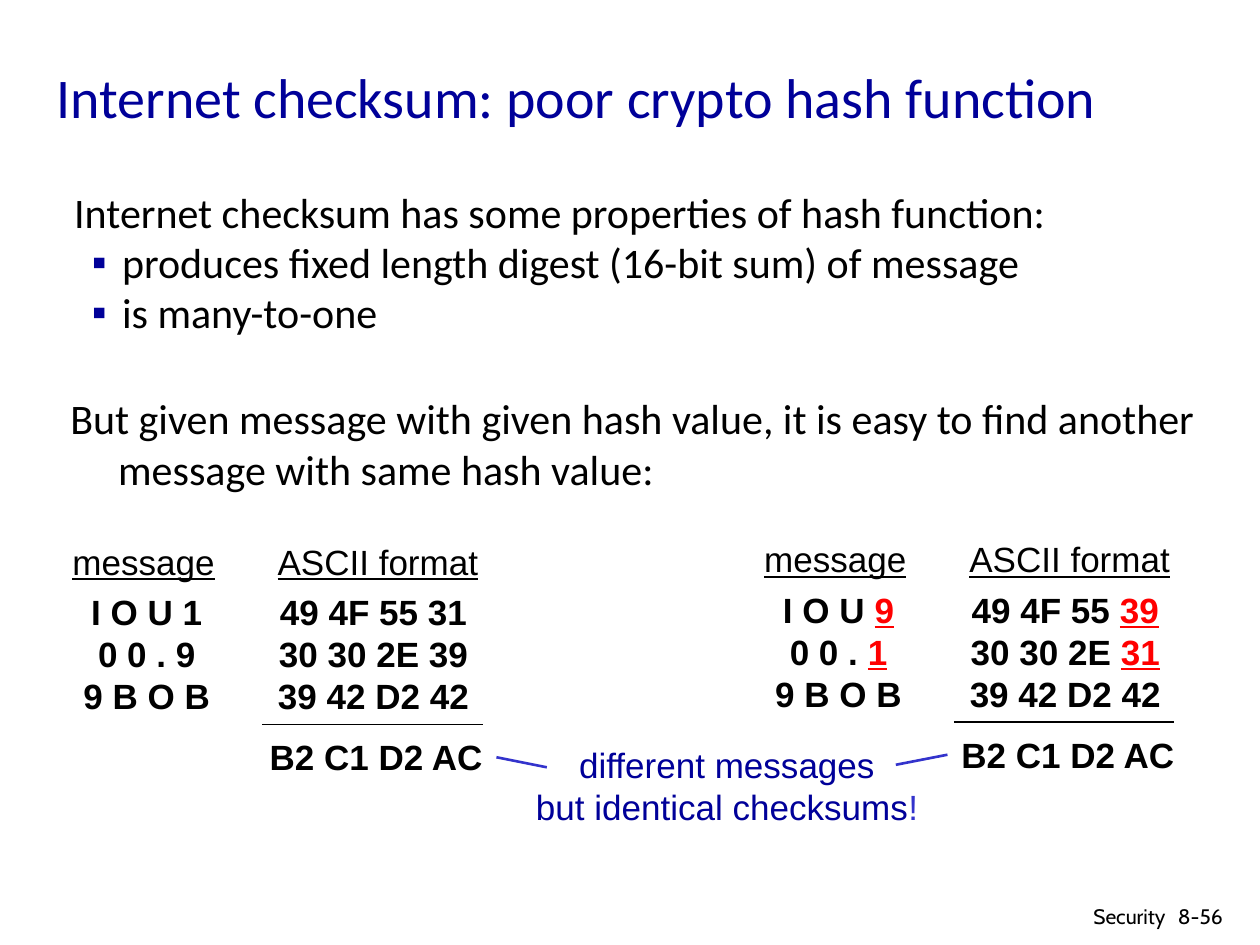
import pptx
import pptx.dml.color
import pptx.enum.shapes
import pptx.enum.text
import pptx.oxml.xmlchemy
import pptx.util

Inches = pptx.util.Inches
Pt = pptx.util.Pt
RGBColor = pptx.dml.color.RGBColor
Align = pptx.enum.text.PP_ALIGN
Anchor = pptx.enum.text.MSO_ANCHOR
AutoSize = pptx.enum.text.MSO_AUTO_SIZE
OxmlElement = pptx.oxml.xmlchemy.OxmlElement

NAVY = RGBColor(0x00, 0x00, 0x99)
BLUE = RGBColor(0x33, 0x33, 0xCC)
RED = RGBColor(0xFF, 0x00, 0x00)
BLACK = RGBColor(0x00, 0x00, 0x00)

TITLE = {"name": "Calibri", "size": Pt(32), "color": NAVY}
BODY = {"name": "Calibri", "size": Pt(24), "color": BLACK}
HEADING = {"name": "Arial", "size": Pt(20), "color": BLACK, "underline": True}
CODE = {"name": "Arial", "size": Pt(20), "color": BLACK, "bold": True}
CHANGED = {**CODE, "color": RED, "underline": True}
NOTE = {"name": "Arial", "size": Pt(20), "color": NAVY}
EXCLAMATION = {**NOTE, "color": BLUE}
FOOTER = {"name": "Cabin", "size": Pt(12), "color": BLACK}

presentation = pptx.Presentation()
presentation.slide_width = Inches(10)
presentation.slide_height = Inches(7.5)
slide = presentation.slides.add_slide(presentation.slide_layouts[6])


def add_text(left, top, width, height, lines, style, accent=None, align=Align.LEFT, wrap=True):
    shape = slide.shapes.add_textbox(Inches(left), Inches(top), Inches(width), Inches(height))
    frame = shape.text_frame
    frame.word_wrap = wrap
    frame.auto_size = AutoSize.NONE if wrap else AutoSize.SHAPE_TO_FIT_TEXT
    for index, line in enumerate(lines):
        paragraph = frame.paragraphs[0] if index == 0 else frame.add_paragraph()
        paragraph.alignment = align
        parts = (line,) if isinstance(line, str) else line
        for text, formats in zip(parts, (style, accent)):
            run = paragraph.add_run()
            run.text = text
            for key, value in formats.items():
                if key == "color":
                    run.font.color.rgb = value
                else:
                    setattr(run.font, key, value)
    return shape


def add_line(start, end, color, width):
    points = [Inches(value) for value in (*start, *end)]
    connector = slide.shapes.add_connector(pptx.enum.shapes.MSO_CONNECTOR.STRAIGHT, *points)
    connector.line.color.rgb = color
    connector.line.width = Pt(width)
    connector._element.spPr.append(OxmlElement("a:effectLst"))
    return connector


title = add_text(0.35, 0.3, 8.88, 0.92, ["Internet checksum: poor crypto hash function"], TITLE)
title.text_frame.vertical_anchor = Anchor.MIDDLE

properties_text = [
    "Internet checksum has some properties of hash function:",
    "produces fixed length digest (16-bit sum) of message",
    "is many-to-one",
]
body = add_text(0.49, 1.49, 9.21, 2.32, properties_text, BODY)
attack = add_text(
    0.46, 3.07, 9.21, 1.07,
    ["But given message with given hash value, it is easy to find another message with same hash value:"],
    BODY,
)
for paragraph in (*body.text_frame.paragraphs, *attack.text_frame.paragraphs):
    indents = paragraph._p.get_or_add_pPr()
    indents.set("marL", str(Inches(0.38)))
    indents.set("indent", str(Inches(-0.38)))
for index, paragraph in enumerate(body.text_frame.paragraphs):
    paragraph.line_spacing = 0.85
    if index:
        paragraph.space_before = Pt(4.2)
        bullet_properties = paragraph._p.get_or_add_pPr()
        bullet_properties.set("indent", str(Inches(-0.24)))
        bullet_color = OxmlElement("a:buClr")
        color = OxmlElement("a:srgbClr")
        color.set("val", str(NAVY))
        bullet_color.append(color)
        bullet_font = OxmlElement("a:buFont")
        bullet_font.set("typeface", "Arial")
        bullet = OxmlElement("a:buChar")
        bullet.set("char", "▪")
        for element in (bullet_color, bullet_font, bullet):
            bullet_properties.append(element)

panels = [
    (0, 0, ["I O U 1", "0 0 . 9", "9 B O B"],
     ["49 4F 55 31", "30 30 2E 39", "39 42 D2 42"]),
    (5.49, -0.02, [("I O U ", "9"), ("0 0 . ", "1"), "9 B O B"],
     [("49 4F 55 ", "39"), ("30 30 2E ", "31"), "39 42 D2 42"]),
]
checksums = []
for x, y, message, codes in panels:
    blocks = [
        (0.56, 4.64, 1.21, 1.11, message, CODE),
        (2.1, 4.64, 1.73, 1.11, codes, CODE),
        (0.47, 4.24, 1.34, 0.44, ["message"], HEADING),
        (2.1, 4.24, 1.8, 0.44, ["ASCII format"], HEADING),
        (2.03, 5.79, 1.91, 0.44, ["B2 C1 D2 AC"], CODE),
    ]
    for left, top, width, height, lines, style in blocks:
        shape = add_text(left + x, top + y, width, height, lines, style, CHANGED, Align.CENTER, False)
    checksums.append(shape)
    add_line((2.08 + x, 5.75 + y), (3.83 + x, 5.75 + y), BLACK, 0.75)

add_text(
    4.09, 5.85, 3.36, 0.77,
    ["different messages", ("but identical checksums", "!")],
    NOTE, EXCLAMATION, Align.CENTER, False,
)
pointers = [((4.34, 6.09), (3.93, 6), 3), ((7.11, 6.07), (7.52, 5.98), 1)]
for checksum, (start, end, side) in zip(checksums, pointers):
    pointer = add_line(start, end, BLUE, 1.5)
    pointer.end_connect(checksum, side)

add_text(9.25, 7.12, 0.75, 0.3, ["8-56"], FOOTER)
add_text(8.56, 7.12, 0.79, 0.28, ["Security"], FOOTER, align=Align.RIGHT)

presentation.save("out.pptx")
